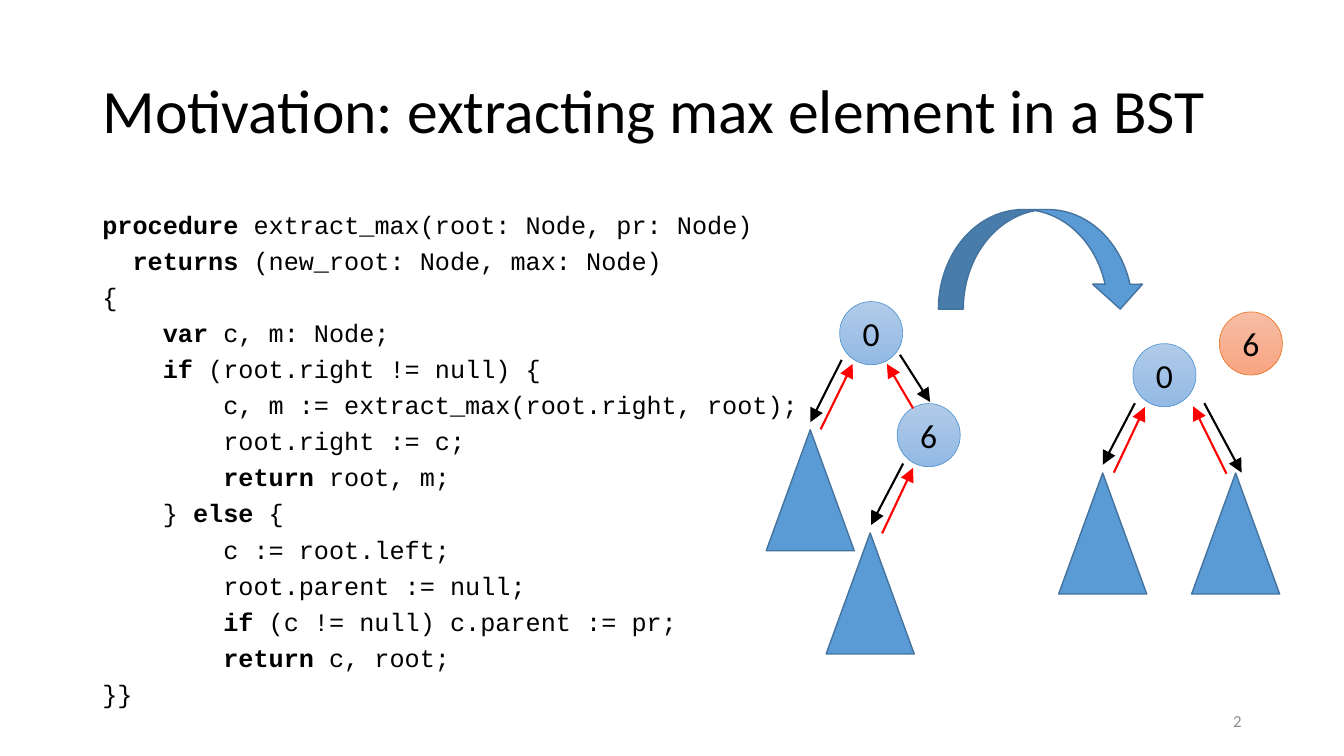
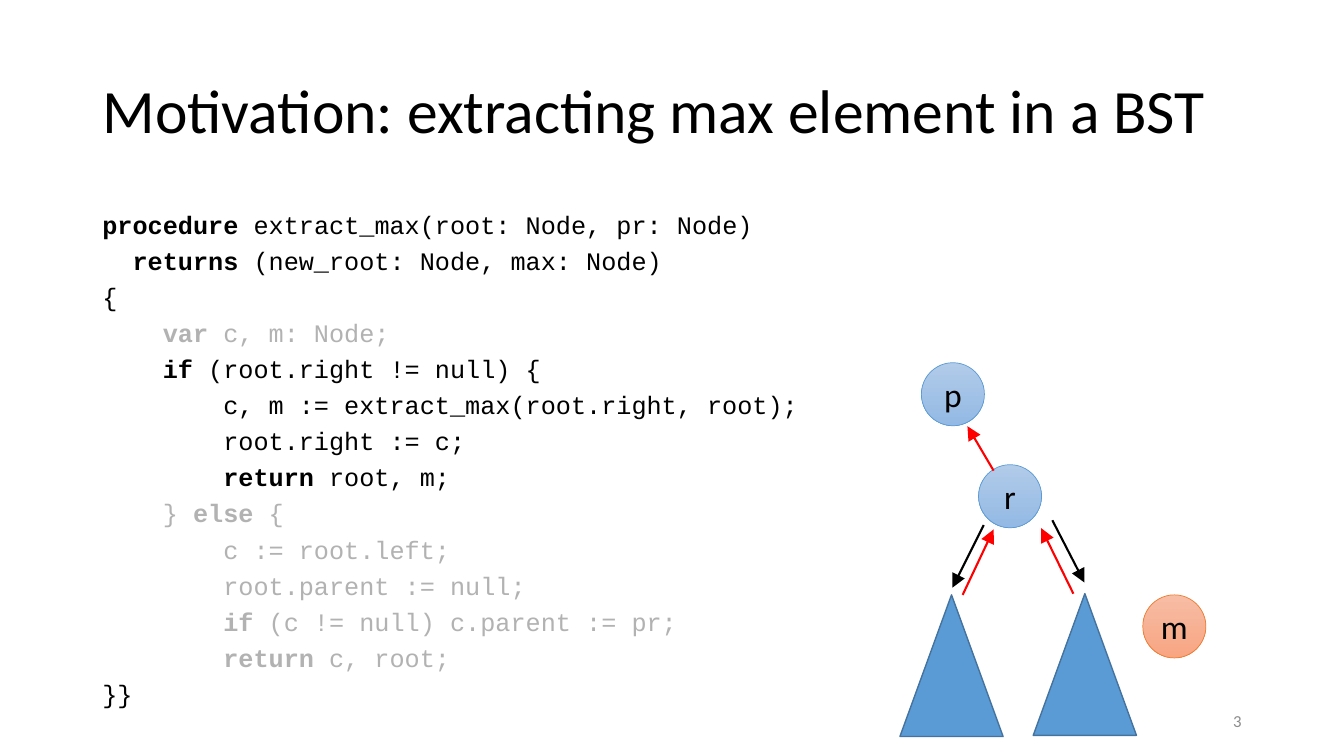
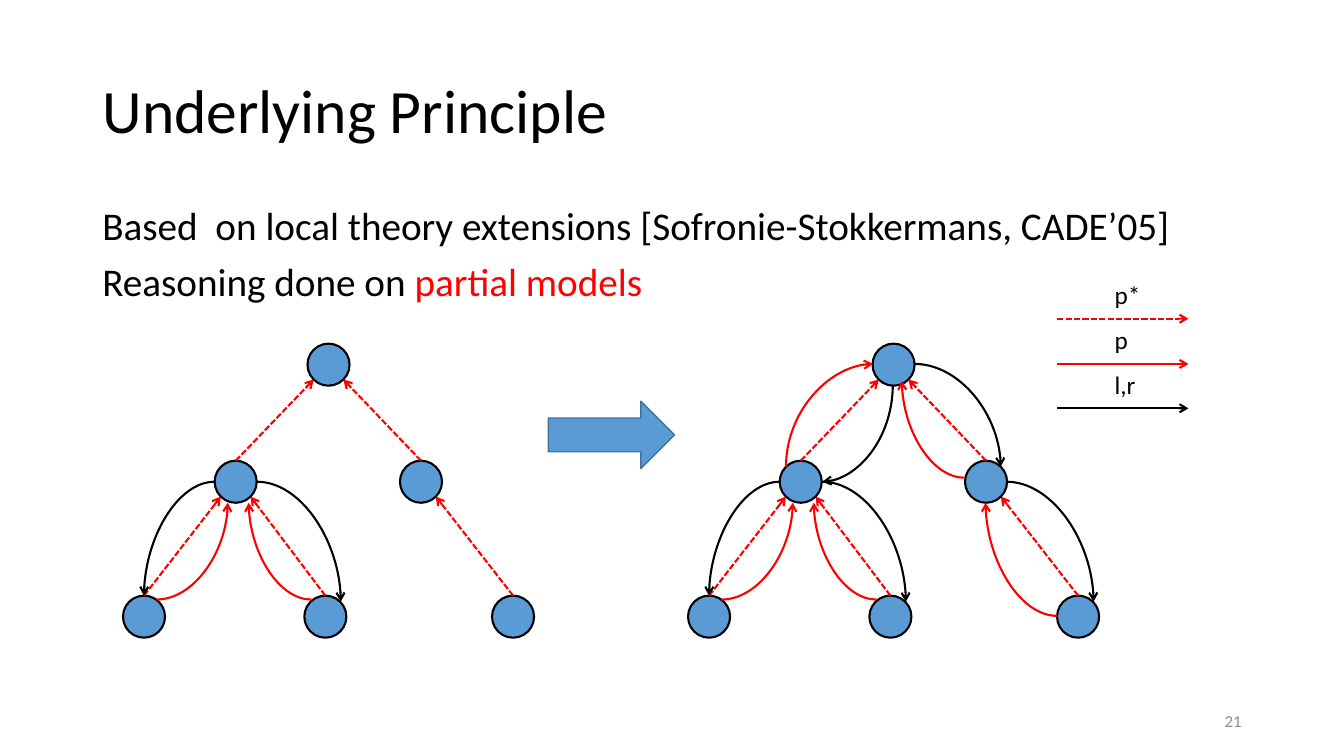
from math import sqrt

from lxml import etree
from pptx import Presentation
from pptx import util as u
from pptx.dml.color import RGBColor
from pptx.enum import dml, shapes, text
from pptx.oxml.ns import qn

# Shared style
BLACK = RGBColor(0x00, 0x00, 0x00)
RED = RGBColor(0xFF, 0x00, 0x00)
DIM = RGBColor(0xB2, 0xB2, 0xB2)
GREY = RGBColor(0x8C, 0x8C, 0x8C)
BLUE = RGBColor(0x5B, 0x9B, 0xD5)
BLUE_EDGE = RGBColor(0x43, 0x73, 0x9E)
ORANGE = RGBColor(0xED, 0x7D, 0x31)
BLUE_FADE = (RGBColor(0xB1, 0xCB, 0xE9), RGBColor(0x93, 0xB9, 0xE4))
ORANGE_FADE = (RGBColor(0xF7, 0xBD, 0xA5), RGBColor(0xF8, 0xA5, 0x82))
TITLE_FONT = {"name": "Calibri", "size": u.Pt(44)}
BODY_FONT = {"name": "Calibri", "size": u.Pt(28)}
CODE_FONT = {"name": "Courier New", "size": u.Pt(18)}
NODE_FONT = {"name": "Calibri", "size": u.Pt(24)}
LEGEND_FONT = {"name": "Calibri", "size": u.Pt(18)}
NUMBER_FONT = {"name": "Calibri", "size": u.Pt(12)}
CODE_FLOW = {"line_spacing": 1.1, "space_before": u.Pt(2)}
BODY_FLOW = {"line_spacing": 0.9, "space_before": u.Pt(10)}
CHAR_WIDTH = u.Pt(10.8)
OPEN_TIP = {"type": "arrow"}
SOLID_TIP = {"type": "triangle", "w": "lg", "len": "lg"}
SHAPE = shapes.MSO_SHAPE
LEFT, WIDTH = 2.33, 29.21

# Content: code as (indent in characters, text with *bold* words)
MOTIVATION = "Motivation: extracting max element in a BST"
CODE = [
    (0, "*procedure* extract_max(root: Node, pr: Node)"),
    (2, "*returns* (new_root: Node, max: Node)"),
    (0, "{"),
    (4, "*var* c, m: Node;"),
    (4, "*if* (root.right != null) {"),
    (8, "c, m := extract_max(root.right, root);"),
    (8, "root.right := c;"),
    (8, "*return* root, m;"),
    (4, "} *else* {"),
    (8, "c := root.left;"),
    (8, "root.parent := null;"),
    (8, "*if* (c != null) c.parent := pr;"),
    (8, "*return* c, root;"),
    (0, "}}"),
]
# Trees: nodes and subtrees by left and top; arrows from head to foot
CODE_SLIDES = [
    {
        "number": "2", "dimmed": (), "subtree_size": (2.22, 3.05),
        "subtrees": [(20.82, 13.43), (19.31, 10.83), (30.03, 11.92), (26.68, 11.92)],
        "nodes": [("0", 21.16, 7.6), ("6", 22.61, 10.17), ("0", 28.55, 8.66)],
        "removed": ("6", 30.73, 7.86),
        "parent_arrows": [
            (23.01, 11.79, 22.23, 13.44), (22.35, 9.17, 23.01, 10.29),
            (21.49, 9.17, 20.68, 10.82), (30.07, 10.24, 30.91, 11.94),
            (28.85, 10.26, 28.07, 11.91)],
        "child_arrows": [
            (21.95, 13.23, 22.76, 11.68), (20.42, 10.64, 21.21, 9.07),
            (23.44, 10.13, 22.68, 8.94), (31.29, 11.91, 30.35, 10.16),
            (27.79, 11.71, 28.6, 10.16)],
        "turn": (23.65, 5.28, 5.21, 2.51),
    },
    {
        "number": "3", "dimmed": (3, 8, 9, 10, 11, 12), "subtree_size": (2.6, 3.57),
        "subtrees": [(22.68, 14.99), (26.04, 14.96)],
        "nodes": [("p", 23.22, 9.14), ("r", 24.66, 11.71)],
        "removed": ("m", 28.8, 14.99),
        "parent_arrows": [
            (25.04, 13.34, 24.26, 14.99), (24.38, 10.74, 25.04, 11.86),
            (26.24, 13.31, 27.05, 14.96)],
        "child_arrows": [(24, 14.81, 24.79, 13.23), (27.33, 14.68, 26.52, 13.11)],
        "turn": None,
    },
]
PRINCIPLE = [
    [("Based  on local theory extensions [Sofronie-Stokkermans, CADE’05]", BLACK)],
    [("Reasoning done on ", BLACK), ("partial models", RED)],
]
MODEL_NODES = {
    "root": (7.75, 8.66), "left": (5.41, 11.61), "right": (10.08, 11.61),
    "left left": (3.1, 15.01), "left right": (7.67, 15.01), "right right": (12.4, 15.01),
}
ANCESTORS = [("left", "root"), ("right", "root"), ("left left", "left"),
             ("left right", "left"), ("right right", "right")]
# Curves leave their first point level and reach the second upright
PARTIAL_CURVES = [
    (RED, "tail", (3.94, 15.11, 5.74, 12.67)),
    (RED, "tail", (7.85, 15.11, 6.27, 12.67)),
    (BLACK, "tail", (5.41, 12.14, 3.63, 15.01)),
    (BLACK, "tail", (6.48, 12.14, 8.59, 15.16)),
]
ADDED_CURVES = [
    (RED, "tail", (10.07, 12.04, 8.49, 9.6)),
    (BLACK, "tail", (8.8, 9.17, 10.98, 11.76)),
    (RED, "head", (7.76, 9.17, 5.57, 11.76)),
    (RED, "tail", (12.4, 15.52, 10.6, 12.67)),
    (BLACK, "tail", (11.13, 12.14, 13.32, 15.16)),
    (BLACK, "head", (6.49, 12.14, 8.26, 9.7)),
]
MODELS = [(14.24, PARTIAL_CURVES + ADDED_CURVES), (0, PARTIAL_CURVES)]
LEGEND = [("p*", RED, True, 8.03), ("p", RED, False, 9.17), ("l,r", BLACK, False, 10.29)]


# Text helpers
def cm(*lengths):
    return [u.Cm(length) for length in lengths]


def apply(target, values):
    for name, value in values.items():
        setattr(target, name, value)


def add_span(para, words, font, color, bold=False):
    span = para.add_run()
    span.text = words
    apply(span.font, {**font, "bold": bold})
    span.font.color.rgb = color


def add_box(parent, place, **frame_values):
    box = parent.add_textbox(*cm(*place))
    apply(box.text_frame, {"word_wrap": True, **frame_values})
    return box.text_frame


def next_para(frame, index):
    return frame.paragraphs[0] if index == 0 else frame.add_paragraph()


def add_page(title, number):
    page = deck.slides.add_slide(deck.slide_layouts[5])
    heading = page.shapes.title
    heading.left, heading.top, heading.width, heading.height = cm(LEFT, 1.01, WIDTH, 3.68)
    apply(heading.text_frame, {"word_wrap": True, "auto_size": text.MSO_AUTO_SIZE.NONE,
                               "vertical_anchor": text.MSO_ANCHOR.MIDDLE})
    para = heading.text_frame.paragraphs[0]
    apply(para, {"alignment": text.PP_ALIGN.LEFT, "line_spacing": 0.9})
    add_span(para, title, TITLE_FONT, BLACK)
    frame = add_box(page.shapes, (23.92, 17.66, 7.62, 1.02),
                    vertical_anchor=text.MSO_ANCHOR.MIDDLE)
    frame.paragraphs[0].alignment = text.PP_ALIGN.RIGHT
    add_span(frame.paragraphs[0], number, NUMBER_FONT, GREY)
    return page


def add_code(page, dimmed):
    frame = add_box(page.shapes, (LEFT, 5.07, WIDTH, 13.49))
    for index, (indent, line) in enumerate(CODE):
        para = next_para(frame, index)
        apply(para, CODE_FLOW)
        para._p.get_or_add_pPr().set("marL", str(indent * CHAR_WIDTH))
        for position, words in enumerate(line.split("*")):
            if words:
                add_span(para, words, CODE_FONT, DIM if index in dimmed else BLACK,
                         bold=position % 2 == 1)


# Drawing helpers
def add_figure(parent, kind, place, edge=BLUE_EDGE, weight=1, fade=None):
    figure = parent.add_shape(kind, *cm(*place))
    figure.shadow.inherit = False
    if fade:
        figure.fill.gradient()
        figure.fill.gradient_angle = 270
        for stop, color in zip(figure.fill.gradient_stops, fade):
            stop.color.rgb = color
    else:
        figure.fill.solid()
        figure.fill.fore_color.rgb = BLUE
    figure.line.color.rgb = edge
    figure.line.width = u.Pt(weight)
    return figure


def add_node(page, label, left, top, edge=BLUE, fade=BLUE_FADE):
    node = add_figure(page.shapes, SHAPE.OVAL, (left, top, 1.59, 1.59), edge, 0.5, fade)
    frame = node.text_frame
    apply(frame, {"word_wrap": False, "vertical_anchor": text.MSO_ANCHOR.MIDDLE,
                  "margin_left": 0, "margin_right": 0, "margin_top": 0, "margin_bottom": 0})
    frame.paragraphs[0].alignment = text.PP_ALIGN.CENTER
    add_span(frame.paragraphs[0], label, NODE_FONT, BLACK)


def add_arrow(parent, ends, color, side="tail", tip=OPEN_TIP, dashed=False, curved=False):
    kind = shapes.MSO_CONNECTOR.CURVE if curved else shapes.MSO_CONNECTOR.STRAIGHT
    arrow = parent.add_connector(kind, *cm(*ends))
    arrow.line.color.rgb = color
    arrow.line.width = u.Pt(1.5)
    if dashed:
        arrow.line.dash_style = dml.MSO_LINE.SQUARE_DOT
    properties = arrow._element.spPr
    if curved:
        properties.find(qn("a:prstGeom")).set("prst", "curvedConnector2")
    etree.SubElement(properties.find(qn("a:ln")), qn(f"a:{side}End"), tip)
    etree.SubElement(properties, qn("a:effectLst"))


def add_model(page, shift, curves):
    size = 1.06
    radius = size / 2
    group = page.shapes.add_group_shape().shapes
    centers = {name: (left + shift + radius, top + radius)
               for name, (left, top) in MODEL_NODES.items()}
    for x, y in centers.values():
        add_figure(group, SHAPE.OVAL, (x - radius, y - radius, size, size), BLACK, 1.5)
    for child, parent in ANCESTORS:
        child_x, child_y = centers[child]
        parent_x, parent_y = centers[parent]
        diagonal = radius / sqrt(2)
        side = -1 if child_x < parent_x else 1
        add_arrow(group, (child_x, child_y - radius,
                          parent_x + side * diagonal, parent_y + diagonal), RED, dashed=True)
    for color, side, (x1, y1, x2, y2) in curves:
        add_arrow(group, (x1 + shift, y1, x2 + shift, y2), color, side, curved=True)


deck = Presentation()
deck.slide_width, deck.slide_height = cm(33.87, 19.05)

# Code slides with their trees
for content in CODE_SLIDES:
    page = add_page(MOTIVATION, content["number"])
    add_code(page, content["dimmed"])
    for corner in content["subtrees"]:
        add_figure(page.shapes, SHAPE.ISOSCELES_TRIANGLE, corner + content["subtree_size"])
    for node in content["nodes"]:
        add_node(page, *node)
    add_node(page, *content["removed"], ORANGE, ORANGE_FADE)
    for key, color in (("parent_arrows", RED), ("child_arrows", BLACK)):
        for ends in content[key]:
            add_arrow(page.shapes, ends, color, "head", SOLID_TIP)
    if content["turn"]:
        add_figure(page.shapes, SHAPE.CURVED_DOWN_ARROW, content["turn"])

# Partial models
page = add_page("Underlying Principle", "21")
frame = add_box(page.shapes, (LEFT, 5.07, WIDTH, 12.09))
for index, spans in enumerate(PRINCIPLE):
    para = next_para(frame, index)
    apply(para, BODY_FLOW)
    for words, color in spans:
        add_span(para, words, BODY_FONT, color)
for shift, curves in MODELS:
    add_model(page, shift, curves)
add_figure(page.shapes, SHAPE.RIGHT_ARROW, (13.82, 10.11, 3.18, 1.7))

# Legend
legend = page.shapes.add_group_shape().shapes
for label, color, dashed, y in LEGEND:
    add_arrow(legend, (26.64, y, 29.95, y), color, dashed=dashed)
    frame = add_box(legend, (27.84, y - 1.12, 1.5, 1.02))
    add_span(frame.paragraphs[0], label, LEGEND_FONT, BLACK)

deck.save("out.pptx")
